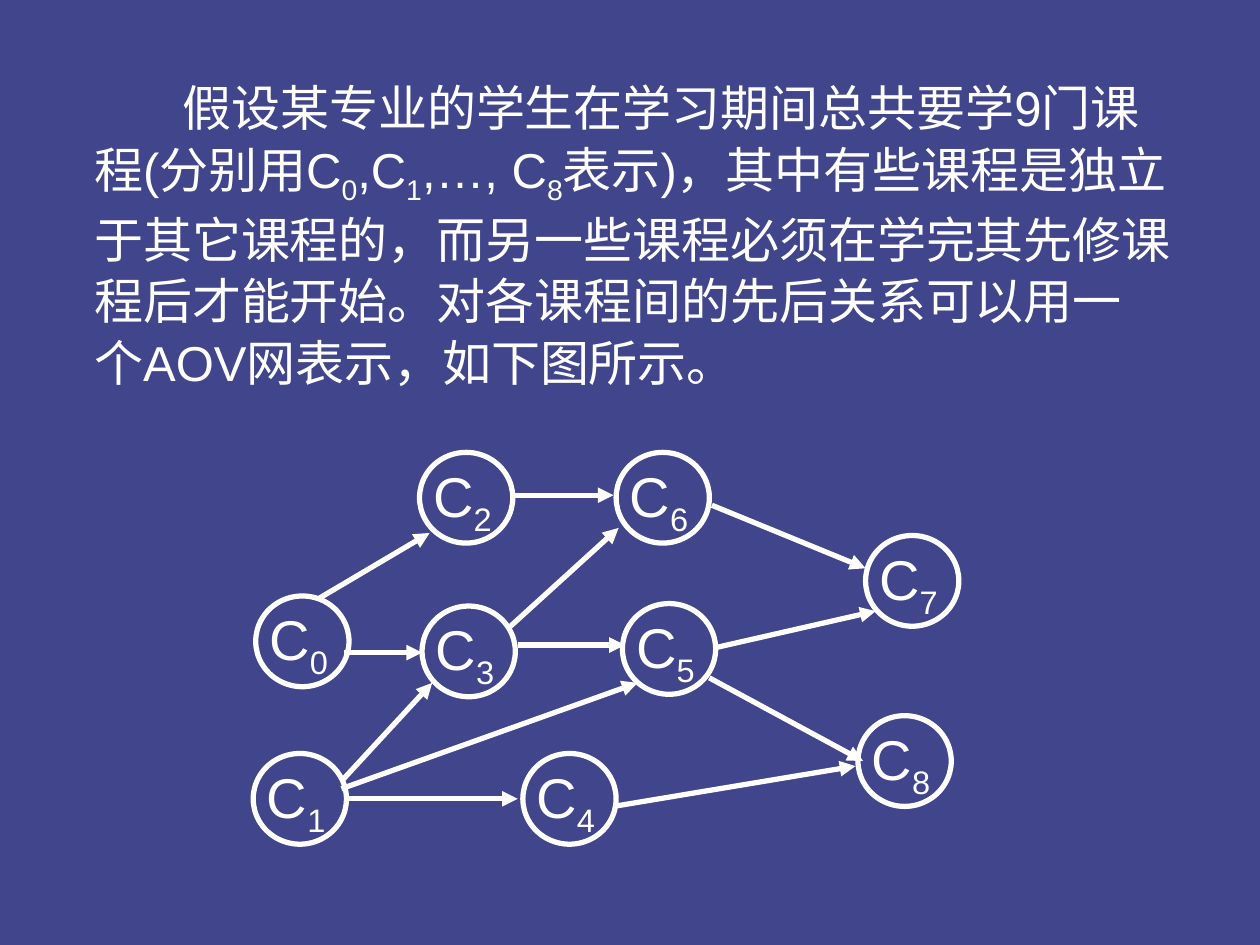
import pptx
import pptx.util
import pptx.dml.color
import pptx.enum.shapes
import pptx.enum.text
import pptx.oxml.ns
import lxml.etree

COLS, ROWS = 100, 75
WIDE, HIGH = pptx.util.Inches(10), pptx.util.Inches(7.5)
HUES = {"back": "40458C", "ink": "FFFFFF"}
FACE = "Arial"

INTRO = [
    ("假设某专业的学生在学习期间总共要学9门课程(分别用C", False),
    ("0", True), (",C", False), ("1", True), (",…, C", False), ("8", True),
    ("表示)，其中有些课程是独立于其它课程的，而另一些课程必须在学完其先修课程后才能开始。"
     "对各课程间的先后关系可以用一 个AOV网表示，如下图所示。", False),
]
NODES = {
    "2": (33.3, 35.9), "6": (48.9, 35.9), "0": (20.3, 47.3),
    "3": (33.5, 48.1), "1": (20.1, 59.8), "5": (49.4, 47.9),
    "4": (41.5, 59.8), "7": (68.7, 42.5), "8": (68.1, 56.8),
}
EDGES = [
    (25.3, 47.5, 34.1, 42.3), (40.5, 39.3, 48.7, 39.3),
    (56.5, 40.1, 68.7, 45.1), (27.3, 51.8, 33.5, 51.8),
    (27.1, 62.0, 34.3, 54.2), (27.3, 63.4, 41.1, 63.4),
    (27.1, 62.6, 50.6, 54.2), (41.1, 51.2, 49.6, 51.2),
    (56.3, 53.8, 68.5, 60.4), (48.7, 64.0, 67.9, 60.8),
    (56.8, 51.4, 69.5, 48.5), (40.3, 49.9, 49.1, 41.9),
]


def col(n):
    return round(WIDE * n / COLS)


def row(n):
    return round(HIGH * n / ROWS)


def area(left, top, wide, high):
    return col(left), row(top), col(wide), row(high)


def hue(name):
    return pptx.dml.color.RGBColor.from_string(HUES[name])


def ink_line(item):
    item.line.color.rgb = hue("ink")
    item.line.width = pptx.util.Pt(3)


def add_text(shapes, spot, parts, size, right):
    box = shapes.add_textbox(*area(*spot))
    frame = box.text_frame
    frame.word_wrap = True
    frame.auto_size = pptx.enum.text.MSO_AUTO_SIZE.SHAPE_TO_FIT_TEXT
    frame.margin_right = col(right)
    para = frame.paragraphs[0]
    para.font.name = FACE
    para.font.size = pptx.util.Pt(size)
    para.font.color.rgb = hue("ink")
    for text, low in parts:
        run = para.add_run()
        run.text = text
        if low:
            run._r.get_or_add_rPr().set("baseline", "-25000")
    return para


def add_intro(shapes):
    para = add_text(shapes, (6.5, 5.4, 88, 26.2), INTRO, 28, 1)
    para.line_spacing = 1.05
    para._p.get_or_add_pPr().set("indent", str(col(7)))


def add_node(shapes, name, left, top):
    ring = shapes.add_shape(
        pptx.enum.shapes.MSO_SHAPE.OVAL, *area(left, top, 7.4, 7.2))
    ring.shadow.inherit = False
    ring.fill.background()
    ink_line(ring)
    label = [("C", False), (name, True)]
    add_text(shapes, (left + 0.1, top + 0.2, 6.6, 7.1), label, 32, 0)


def add_edge(shapes, x1, y1, x2, y2):
    edge = shapes.add_connector(
        pptx.enum.shapes.MSO_CONNECTOR.STRAIGHT,
        col(x1), row(y1), col(x2), row(y2))
    ink_line(edge)
    tag = pptx.oxml.ns.qn
    lxml.etree.SubElement(
        edge.line._get_or_add_ln(), tag("a:tailEnd"), type="triangle")
    lxml.etree.SubElement(edge._element.spPr, tag("a:effectLst"))


def main():
    deck = pptx.Presentation()
    deck.slide_width, deck.slide_height = WIDE, HIGH
    slide = deck.slides.add_slide(deck.slide_layouts[6])
    slide.background.fill.solid()
    slide.background.fill.fore_color.rgb = hue("back")
    add_intro(slide.shapes)
    graph = slide.shapes.add_group_shape().shapes
    for name, spot in NODES.items():
        add_node(graph, name, *spot)
    for ends in EDGES:
        add_edge(graph, *ends)
    deck.save("out.pptx")


if __name__ == "__main__":
    main()
